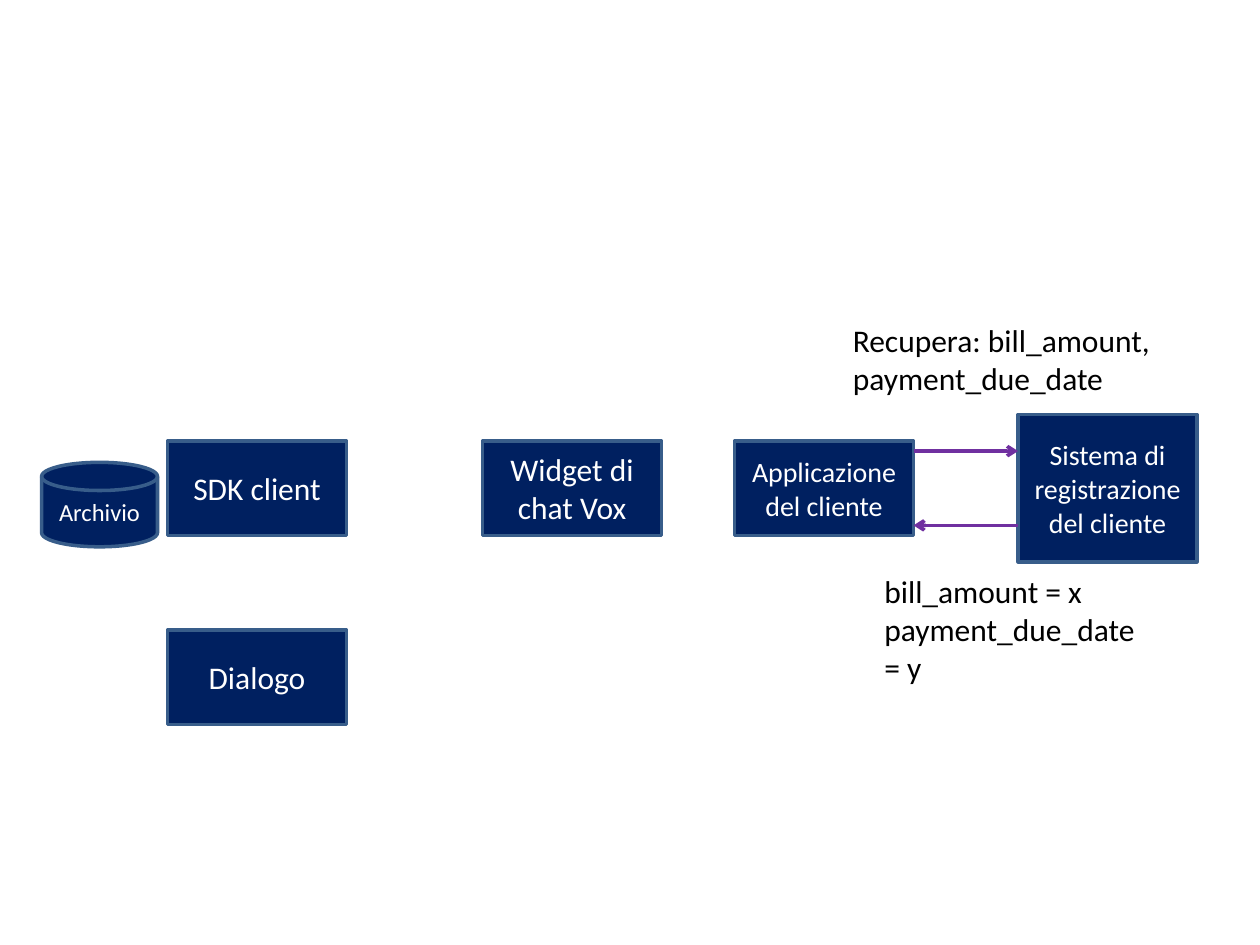
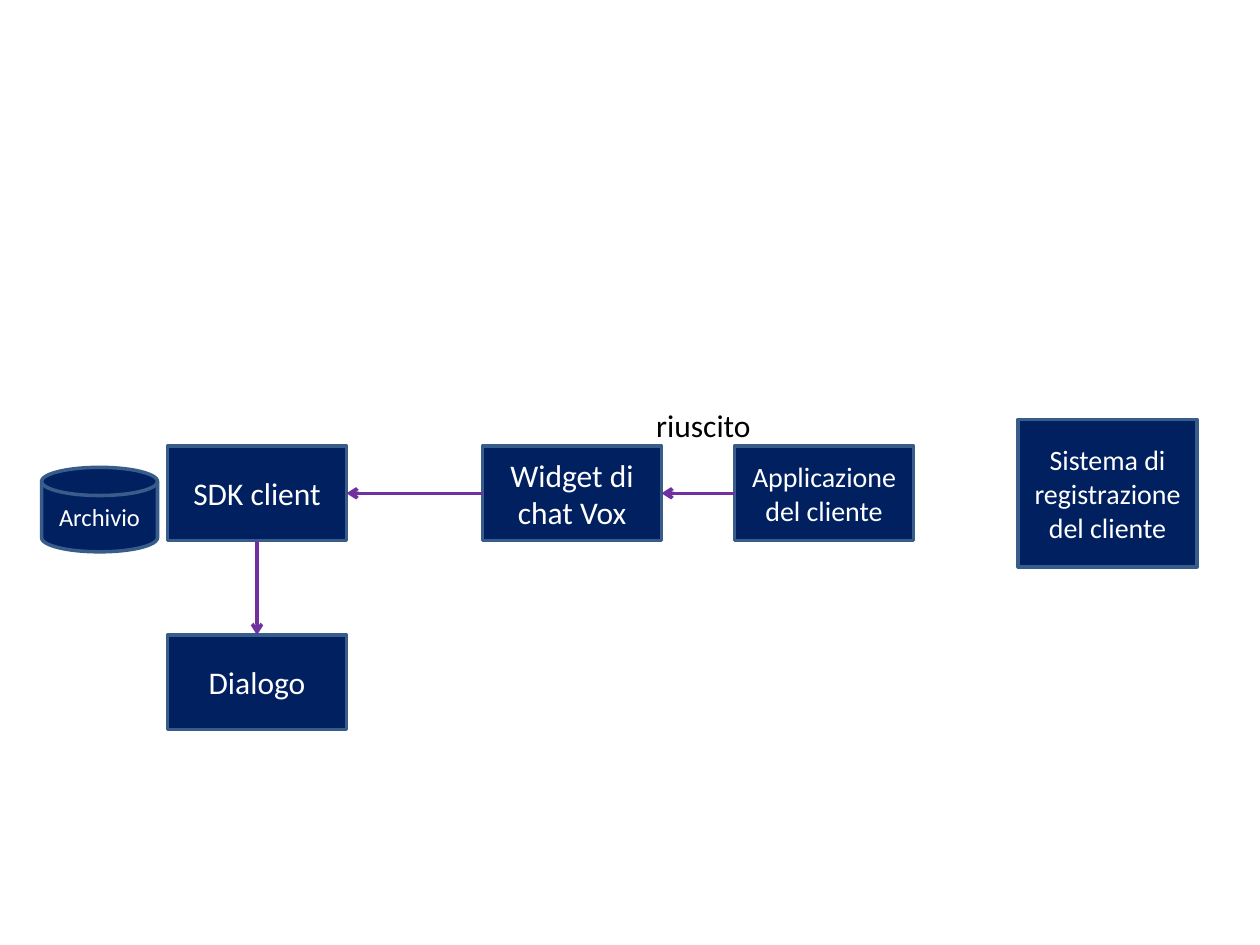
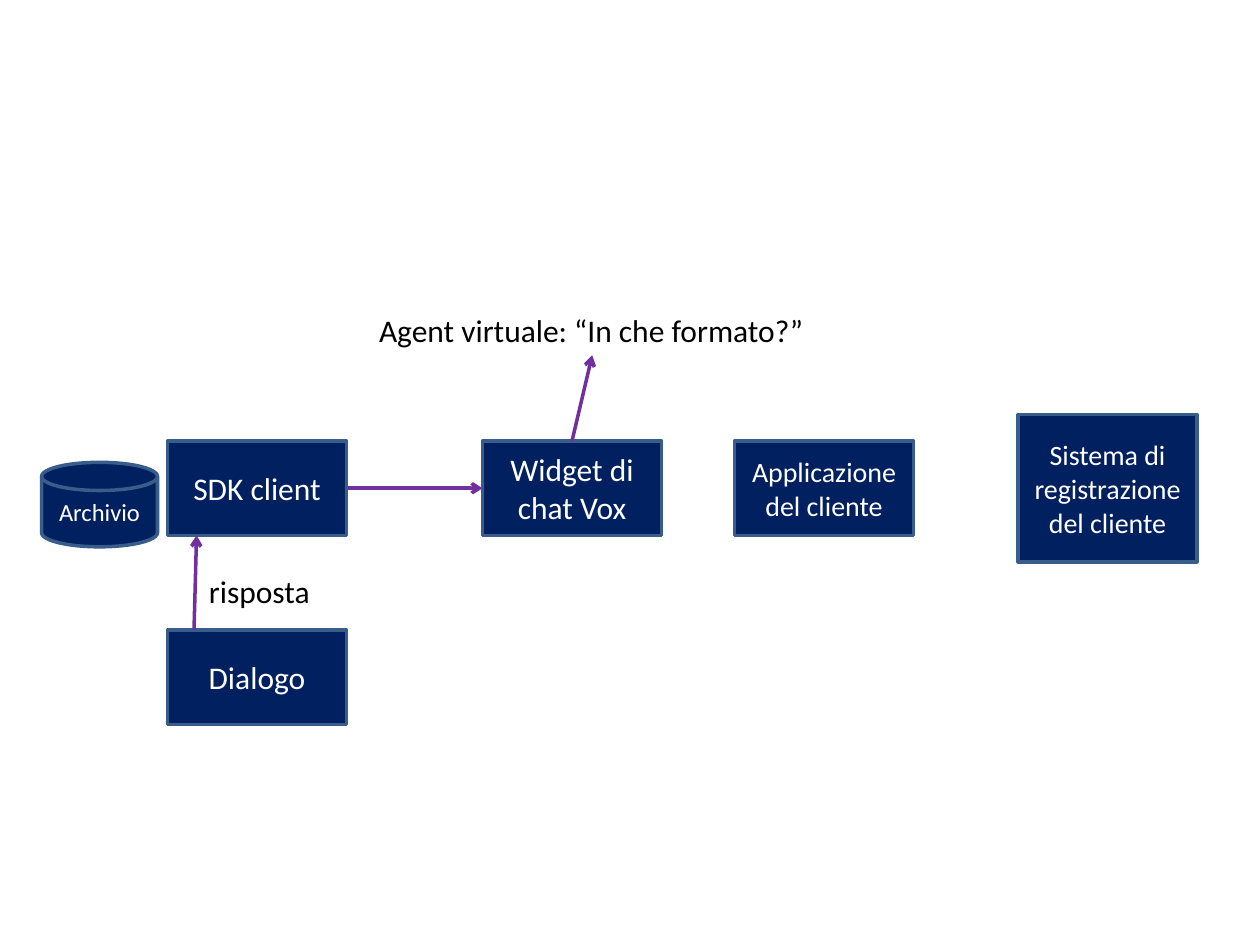
from dataclasses import dataclass

from lxml import etree
from pptx import Presentation
from pptx import util as u
from pptx.dml.color import RGBColor
from pptx.enum import shapes, text
from pptx.oxml.ns import qn


@dataclass(frozen=True)
class Theme:
    font: str = "Calibri"
    navy: str = "002060"
    edge: str = "385D8A"
    flow: str = "7030A0"
    ink: str = "000000"
    white: str = "FFFFFF"
    large: int = 18
    mid: int = 16
    small: int = 14
    line: int = 2


T = Theme()
RECT = shapes.MSO_SHAPE.RECTANGLE
DISK = shapes.MSO_SHAPE.FLOWCHART_MAGNETIC_DISK
TOP, LEFT, BOTTOM, RIGHT = range(4)
WIDE, HIGH = 1.42, 0.75
ROW = 3.5

NODES = {
    "dialog": ("Dialogo", RECT, (1.33, 5, WIDE, HIGH), T.large),
    "client": ("SDK client", RECT, (1.33, ROW, WIDE, HIGH), T.large),
    "widget": ("Widget di chat Vox", RECT, (3.83, ROW, WIDE, HIGH), T.large),
    "app": ("Applicazione del cliente", RECT, (5.83, ROW, WIDE, HIGH), T.mid),
    "system": ("Sistema di registrazione del cliente", RECT,
               (8.08, 3.29, WIDE, 1.17), T.mid),
    "store": ("Archivio", DISK, (0.33, 3.67, 0.92, 0.67), T.small),
}

SLIDES = [
    {
        "drop": 0,
        "arrows": [((7.25, 3.58), (8.08, 3.58)), ((8.08, 4.17), (7.25, 4.17))],
        "labels": [
            (["Recupera: bill_amount,", "payment_due_date"],
             (6.67, 2.5, 2.67, 0.7), True),
            (["bill_amount = x", "payment_due_date = y"],
             (6.92, 4.49, 2.25, 1), True),
        ],
    },
    {
        "drop": 0.04,
        "arrows": [
            (("app", LEFT), ("widget", RIGHT)),
            (("widget", LEFT), ("client", RIGHT)),
            (("client", BOTTOM), ("dialog", TOP)),
        ],
        "labels": [(["riuscito"], (5.11, 3.17, 0.95, 0.4), False)],
    },
    {
        "drop": 0,
        "arrows": [
            (("client", RIGHT), ("widget", LEFT)),
            ((1.54, 5), (1.56, 4.25)),
            (("widget", TOP), (4.7, 2.82)),
        ],
        "labels": [
            (["risposta"], (1.56, 4.49, 1, 0.4), False),
            (["Agent virtuale: “In che formato?”"],
             (2.91, 2.42, 3.58, 0.4), False),
        ],
    },
]


def rgb(code):
    return RGBColor.from_string(code)


def write(frame, lines, size, color, align):
    for i, line in enumerate(lines):
        para = frame.paragraphs[0] if i == 0 else frame.add_paragraph()
        para.alignment = align
        run = para.add_run()
        run.text = line
        run.font.name = T.font
        run.font.size = u.Pt(size)
        run.font.color.rgb = rgb(color)


def stroke(line, color):
    line.color.rgb = rgb(color)
    line.width = u.Pt(T.line)


def add_node(slide, words, kind, box, size, drop):
    x, y, w, h = box
    node = slide.shapes.add_shape(kind, *map(u.Inches, (x, y + drop, w, h)))
    node.shadow.inherit = False
    node.fill.solid()
    node.fill.fore_color.rgb = rgb(T.navy)
    stroke(node.line, T.edge)
    frame = node.text_frame
    frame.word_wrap = True
    frame.vertical_anchor = text.MSO_ANCHOR.MIDDLE
    write(frame, [words], size, T.white, text.PP_ALIGN.CENTER)
    return node


def add_label(slide, lines, box, wrap):
    frame = slide.shapes.add_textbox(*map(u.Inches, box)).text_frame
    frame.word_wrap = wrap
    frame.auto_size = text.MSO_AUTO_SIZE.SHAPE_TO_FIT_TEXT
    write(frame, lines, T.large, T.ink, text.PP_ALIGN.LEFT)


def add_arrow(slide, nodes, start, end):
    joins = [isinstance(tip[0], str) for tip in (start, end)]
    spots = [(0, 0) if join else tip
             for join, tip in zip(joins, (start, end))]
    arrow = slide.shapes.add_connector(
        shapes.MSO_CONNECTOR.STRAIGHT,
        *(u.Inches(n) for spot in spots for n in spot))
    if joins[0]:
        arrow.begin_connect(nodes[start[0]], start[1])
    if joins[1]:
        arrow.end_connect(nodes[end[0]], end[1])
    stroke(arrow.line, T.flow)
    props = arrow.element.spPr
    etree.SubElement(props.find(qn("a:ln")), qn("a:tailEnd"), type="arrow")
    etree.SubElement(props, qn("a:effectLst"))


def main():
    deck = Presentation()
    deck.slide_width, deck.slide_height = u.Inches(10), u.Inches(7.5)
    for page in SLIDES:
        slide = deck.slides.add_slide(deck.slide_layouts[6])
        nodes = {name: add_node(slide, *node, page["drop"])
                 for name, node in NODES.items()}
        for start, end in page["arrows"]:
            add_arrow(slide, nodes, start, end)
        for label in page["labels"]:
            add_label(slide, *label)
    deck.save("out.pptx")


if __name__ == "__main__":
    main()
